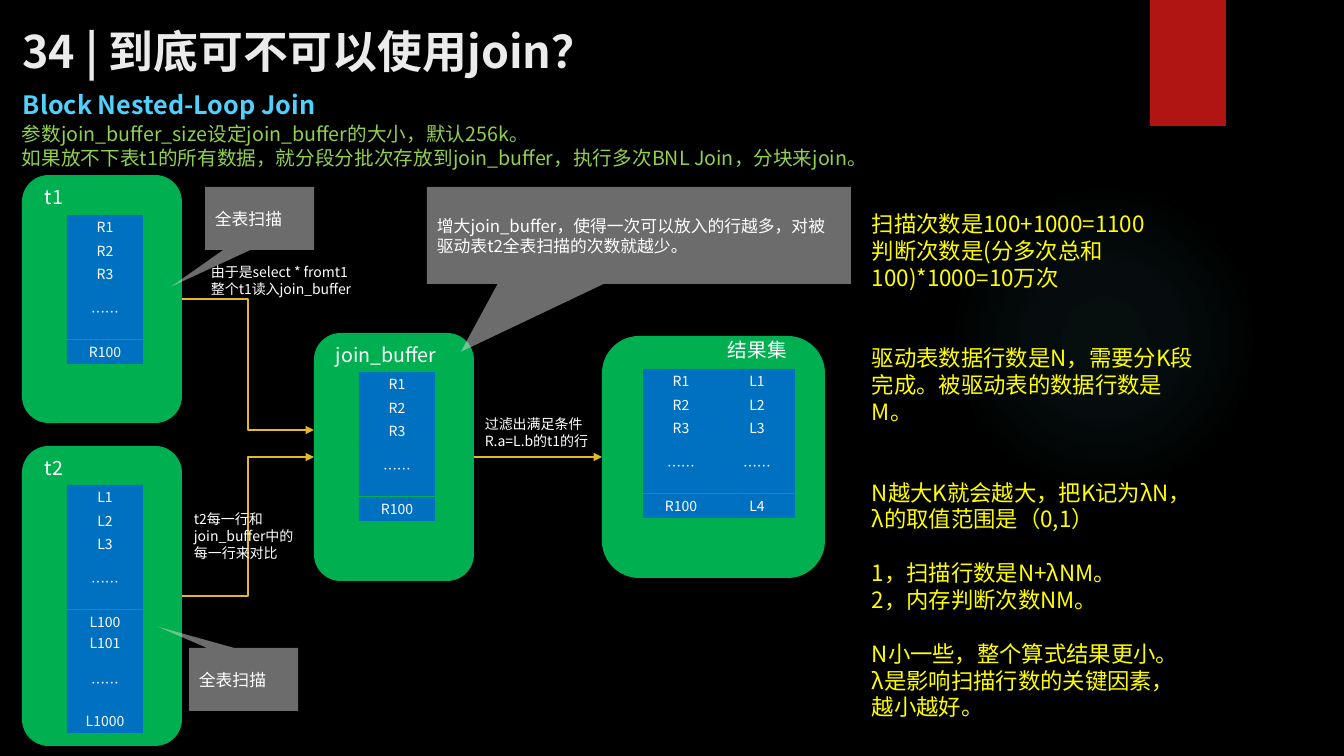
from dataclasses import dataclass

from lxml.etree import SubElement
from pptx import Presentation
from pptx.dml.color import RGBColor
from pptx.enum.shapes import MSO_CONNECTOR as Connector, MSO_SHAPE as Shape
from pptx.enum.text import MSO_ANCHOR as Anchor, PP_ALIGN as Align
from pptx.oxml import parse_xml
from pptx.oxml.ns import nsdecls, qn
from pptx.util import Emu, Pt

# Content: boxes are (left, top, width, height) in px
TITLE = "34 | 到底可不可以使用join？"
SUBTITLE = "Block Nested-Loop Join"
INTRO = [
    "参数join_buffer_size设定join_buffer的大小，默认256k。",
    "如果放不下表t1的所有数据，就分段分批次存放到join_buffer，执行多次BNL Join，分块来join。",
]
R_ROWS = ["R1", "R2", "R3", "……", "R100"]
L_ROWS = ["L1", "L2", "L3", "……", "L100", "L101", "……", "L1000"]
RESULT_ROWS = ["L1", "L2", "L3", "……", "L4"]

# name: (panel box, label, label box, first cell position, columns of rows)
PANELS = {
    "t1": ((22, 175, 160, 248), "t1", (35, 180, 56, 34), (67, 215), [R_ROWS]),
    "t2": ((22, 446, 160, 300), "t2", (35, 451, 56, 34), (67, 485), [L_ROWS]),
    "buffer": ((314, 333, 160, 248), "join_buffer", (326, 338, 160, 34),
               (359, 372), [R_ROWS]),
    "result": ((602, 336, 223, 242), "结果集", (718, 333, 186, 34),
               (643, 369), [R_ROWS, RESULT_ROWS]),
}
# start panel, end panel, y of the arrowhead
ARROWS = [("t1", "buffer", 430), ("t2", "buffer", 457), ("buffer", "result", 457)]
NOTES = [
    ((184, 506, 129, 61), ["t2每一行和join_buffer中的每一行来对比"]),
    ((201, 259, 204, 44), ["由于是select * fromt1", "整个t1读入join_buffer"]),
    ((475, 411, 132, 44), ["过滤出满足条件", "R.a=L.b的t1的行"]),
]
# box, pointer offset, text
CALLOUTS = [
    ((205, 187, 109, 63), (-0.81, 1.08), "全表扫描"),
    ((189, 648, 109, 63), (-0.79, -0.84), "全表扫描"),
    ((427, 187, 424, 97), (-0.42, 1.2),
     "增大join_buffer，使得一次可以放入的行越多，对被驱动表t2全表扫描的次数就越少。"),
]
# text, lines of space before it
ANALYSIS = [
    ("扫描次数是100+1000=1100", 0),
    ("判断次数是(分多次总和100)*1000=10万次", 0),
    ("驱动表数据行数是N，需要分K段完成。被驱动表的数据行数是M。", 2),
    ("N越大K就会越大，把K记为λN，λ的取值范围是（0,1）", 2),
    ("1，扫描行数是N+λNM。", 1),
    ("2，内存判断次数NM。", 0),
    ("N小一些，整个算式结果更小。", 1),
    ("λ是影响扫描行数的关键因素，越小越好。", 0),
]

# Grid of the record cells
ROW_OFFSETS = (0, 24, 47, 69, 125, 146, 170, 224)
CELL_WIDTH, CELL_HEIGHT, GAP_HEIGHT = 76, 24, 55
SCALE = 914400 / 100.8


@dataclass(frozen=True)
class Theme:
    font: str = "Noto Sans CJK SC"
    line_height: float = 1.2
    background: str = "000000"
    glow: str = "50B9C1"
    ribbon: str = "B01513"
    title: str = "EBEBEB"
    subtitle: str = "4FD1FF"
    intro: str = "92D050"
    analysis: str = "FFFF00"
    text: str = "FFFFFF"
    panel: str = "00B050"
    cell: str = "0070C0"
    arrow: str = "E6B729"
    callout: str = "D9D9D9"
    title_size: int = 32
    subtitle_size: int = 18
    analysis_size: int = 16
    label_size: int = 14
    callout_size: int = 12
    small_size: int = 10


THEME = Theme()


def px(value):
    return Emu(round(value * SCALE))


def place(box):
    return [px(value) for value in box]


def write(shape, lines, size=THEME.small_size, color=THEME.text, bold=False,
          align=Align.LEFT, anchor=Anchor.TOP, wrap=True, gaps=None):
    frame = shape.text_frame
    frame.word_wrap = wrap
    frame.vertical_anchor = anchor
    for index, line in enumerate(lines):
        paragraph = frame.paragraphs[0] if index == 0 else frame.add_paragraph()
        paragraph.alignment = align
        paragraph.line_spacing = Pt(size * THEME.line_height)
        if gaps and gaps[index]:
            paragraph.space_before = Pt(size * THEME.line_height * gaps[index])
        run = paragraph.add_run()
        run.text = line
        run.font.size = Pt(size)
        run.font.bold = bold
        run.font.name = THEME.font
        run.font.color.rgb = RGBColor.from_string(color)
        SubElement(run.font._element, qn("a:ea"), typeface=THEME.font)


def add_text(slide, box, lines, **style):
    write(slide.shapes.add_textbox(*place(box)), lines, **style)


def add_block(slide, kind, box, color):
    shape = slide.shapes.add_shape(kind, *place(box))
    shape.shadow.inherit = False
    shape.fill.solid()
    shape.fill.fore_color.rgb = RGBColor.from_string(color)
    shape.line.fill.background()
    return shape


def add_glow(slide):
    shape = add_block(slide, Shape.OVAL, (949, 184, 310, 310), THEME.glow)
    stops = "".join(
        f'<a:gs pos="{position}000"><a:srgbClr val="{THEME.glow}">'
        f'<a:alpha val="{alpha}000"/></a:srgbClr></a:gs>'
        for position, alpha in ((0, 7), (36, 6), (69, 0), (100, 0)))
    gradient = parse_xml(
        f'<a:gradFill {nsdecls("a")}><a:gsLst>{stops}</a:gsLst><a:path path="circle">'
        '<a:fillToRect l="50000" t="50000" r="50000" b="50000"/></a:path></a:gradFill>')
    properties = shape._element.spPr
    properties.replace(properties.find(qn("a:solidFill")), gradient)


def add_panel(slide, box, label, label_box, origin, columns):
    panel = add_block(slide, Shape.ROUNDED_RECTANGLE, box, THEME.panel)
    for column, rows in enumerate(columns):
        left = origin[0] + column * CELL_WIDTH
        for text, offset in zip(rows, ROW_OFFSETS):
            height = GAP_HEIGHT if text == "……" else CELL_HEIGHT
            cell = add_block(slide, Shape.RECTANGLE,
                             (left, origin[1] + offset, CELL_WIDTH, height), THEME.cell)
            write(cell, [text], align=Align.CENTER, anchor=Anchor.MIDDLE)
    add_text(slide, label_box, [label], size=THEME.label_size)
    return panel


def add_arrow(slide, start, end, y):
    arrow = slide.shapes.add_connector(
        Connector.ELBOW, start.left + start.width, start.top + start.height // 2,
        end.left, px(y))
    arrow.begin_connect(start, 3)
    if abs(px(y) - end.top - end.height // 2) < px(2):
        arrow.end_connect(end, 1)
    arrow.line.color.rgb = RGBColor.from_string(THEME.arrow)
    arrow.line.width = Pt(1.5)
    SubElement(arrow.line._get_or_add_ln(), qn("a:tailEnd"), type="triangle")
    SubElement(arrow._element.spPr, qn("a:effectLst"))


def add_callout(slide, box, pointer, text):
    shape = add_block(slide, Shape.RECTANGULAR_CALLOUT, box, THEME.callout)
    shape.adjustments[0], shape.adjustments[1] = pointer
    color = shape._element.spPr.find(qn("a:solidFill"))[0]
    SubElement(color, qn("a:alpha"), val="50000")
    write(shape, [text], size=THEME.callout_size, anchor=Anchor.MIDDLE)


def main():
    presentation = Presentation()
    presentation.slide_width, presentation.slide_height = px(1344), px(756)
    slide = presentation.slides.add_slide(presentation.slide_layouts[5])
    slide.background.fill.solid()
    slide.background.fill.fore_color.rgb = RGBColor.from_string(THEME.background)

    # Decoration
    add_glow(slide)
    add_block(slide, Shape.RECTANGLE, (1150, 0, 76, 126), THEME.ribbon)

    # Heading
    title = slide.shapes.title
    title.left, title.top, title.width, title.height = place((12, 17, 1229, 67))
    write(title, [TITLE], size=THEME.title_size, color=THEME.title, bold=True,
          anchor=Anchor.MIDDLE)
    add_text(slide, (13, 84, 326, 40), [SUBTITLE], size=THEME.subtitle_size,
             color=THEME.subtitle, bold=True, wrap=False)
    add_text(slide, (12, 117, 1307, 57), INTRO, size=THEME.label_size, color=THEME.intro)

    # Join diagram
    panels = {name: add_panel(slide, *panel) for name, panel in PANELS.items()}
    for start, end, y in ARROWS:
        add_arrow(slide, panels[start], panels[end], y)
    for box, lines in NOTES:
        add_text(slide, box, lines)
    for callout in CALLOUTS:
        add_callout(slide, *callout)

    # Cost analysis
    lines, gaps = zip(*ANALYSIS)
    add_text(slide, (862, 205, 344, 526), lines, size=THEME.analysis_size,
             color=THEME.analysis, gaps=gaps)

    presentation.save("out.pptx")


if __name__ == "__main__":
    main()
